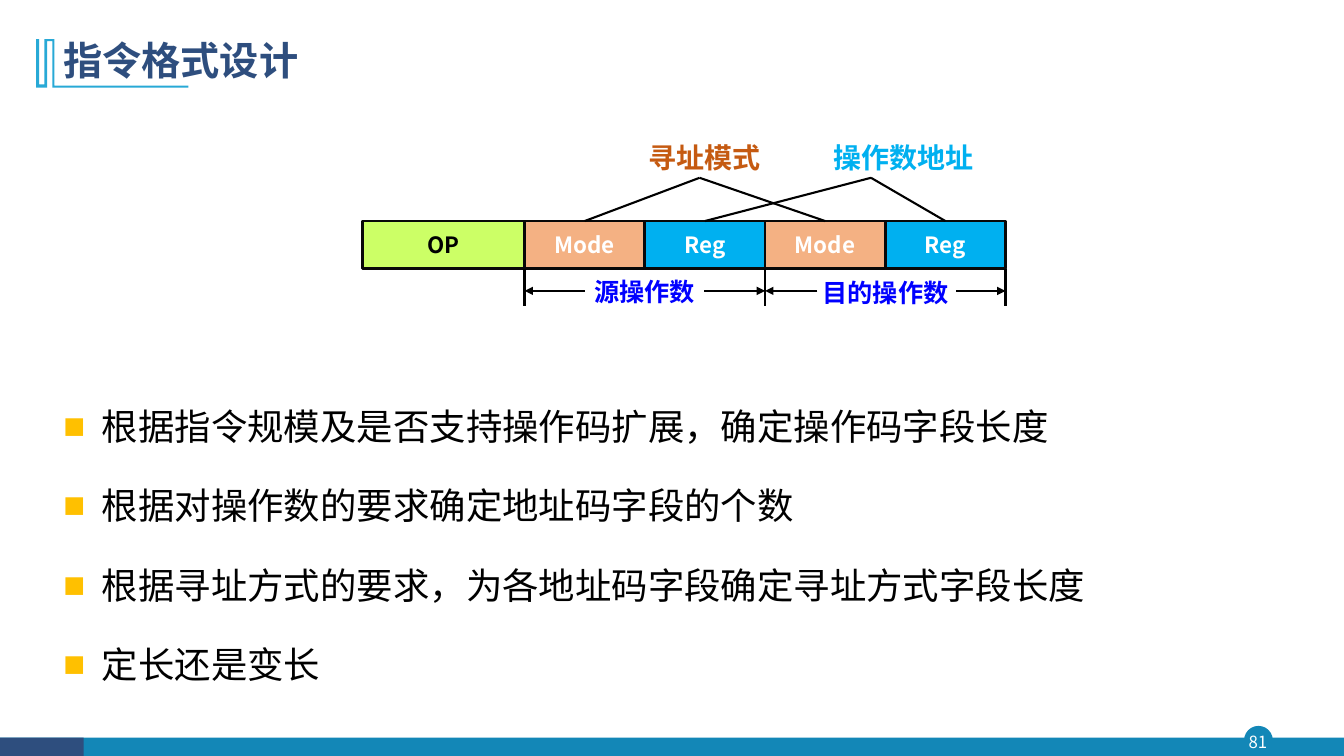
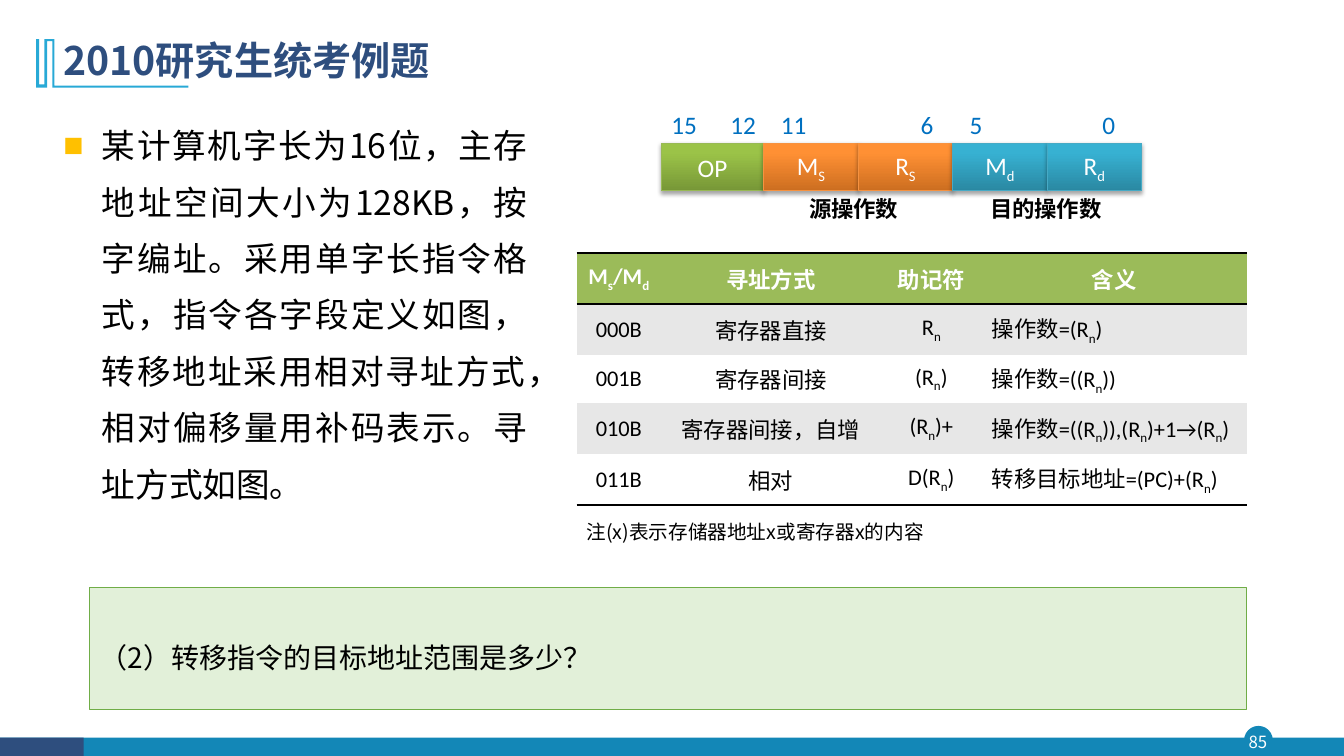
from lxml.etree import SubElement
from pptx import Presentation
from pptx.dml.color import RGBColor
from pptx.enum.shapes import MSO_CONNECTOR, MSO_SHAPE
from pptx.enum.text import MSO_ANCHOR, PP_ALIGN
from pptx.oxml.ns import qn
from pptx.util import Cm, Pt

CJK = "Noto Sans CJK SC"
NAVY, TEAL, SKY = "2E4E7E", "1387B7", "28A9D6"
BLACK, WHITE = "000000", "FFFFFF"
LEFT, CENTER, RIGHT = PP_ALIGN.LEFT, PP_ALIGN.CENTER, PP_ALIGN.RIGHT
rgb = RGBColor.from_string


def write(tf, text, size, color=BLACK, bold=False, name=CJK, **para):
    p = tf.paragraphs[0]
    for key, value in para.items():
        setattr(p, key, value)
    first, *rest = text.split("_")
    pieces = [(first, False)]
    for part in rest:
        pieces += [(part[0], True), (part[1:], False)]
    for piece, lowered in pieces:
        if not piece:
            continue
        r = p.add_run()
        r.text = piece
        for key, value in {"size": Pt(size), "bold": bold, "name": name}.items():
            setattr(r.font, key, value)
        r.font.color.rgb = rgb(color)
        rPr = r._r.get_or_add_rPr()
        SubElement(rPr, qn("a:ea")).set("typeface", CJK)
        if lowered:
            rPr.set("baseline", "-25000")


def box(s, at, text="", size=12, kind=None, fill=None, line=None, width=1, **fmt):
    at = [Cm(v) for v in at]
    if kind is None:
        sp = s.shapes.add_textbox(*at)
    else:
        sp = s.shapes.add_shape(kind, *at)
        sp.shadow.inherit = False
        if fill:
            sp.fill.solid()
            sp.fill.fore_color.rgb = rgb(fill)
        if line:
            sp.line.color.rgb = rgb(line)
            sp.line.width = Pt(width)
        else:
            sp.line.fill.background()
    sp.text_frame.word_wrap = True
    sp.text_frame.vertical_anchor = MSO_ANCHOR.MIDDLE
    if text:
        write(sp.text_frame, text, size, **fmt)
    return sp


prs = Presentation()
prs.slide_width, prs.slide_height = Cm(33.87), Cm(19.05)
RECT = MSO_SHAPE.RECTANGLE

ornament = [(137, 216), (475, 216), (475, 221), (132, 221), (132, 104),
            (119, 104), (119, 221), (91, 221), (91, 99), (99, 99),
            (99, 213), (112, 213), (112, 99)]
pages = [
    ("指令格式设计", "81", (1.35, 9.5, 29.21, 8.38), 26, 1.5,
     ["根据指令规模及是否支持操作码扩展，确定操作码字段长度",
      "根据对操作数的要求确定地址码字段的个数",
      "根据寻址方式的要求，为各地址码字段确定寻址方式字段长度",
      "定长还是变长"]),
    ("2010研究生统考例题", "85", (1.35, 2.62, 12.19, 10.8), 24, 1.4,
     ["某计算机字长为16位，主存地址空间大小为128KB，按字编址。"
      "采用单字长指令格式，指令各字段定义如图，转移地址采用相对寻址方式，"
      "相对偏移量用补码表示。寻址方式如图。"]),
]

for title, number, at, size, spacing, bullets in pages:
    s = prs.slides.add_slide(prs.slide_layouts[6])
    box(s, (31.37, 18.31, 0.69, 0.69), kind=MSO_SHAPE.OVAL, fill=TEAL, line=TEAL)
    box(s, (0, 18.59, 33.87, 0.46), kind=RECT, fill=TEAL)
    box(s, (0, 18.59, 2.11, 0.46), kind=RECT, fill=NAVY)
    box(s, (30.9, 18.31, 1.6, 0.79), number, 12, color=WHITE, alignment=CENTER)
    outline = s.shapes.build_freeform(137, 99, scale=Cm(0.01))
    outline.add_line_segments(ornament, close=True)
    sp = outline.convert_to_shape()
    sp.shadow.inherit = False
    sp.fill.solid()
    sp.fill.fore_color.rgb = rgb(SKY)
    sp.line.fill.background()
    box(s, (1.35, 0.71, 29.21, 1.73), title, 28, color=NAVY, bold=True,
        line_spacing=0.9)

    tf = box(s, at).text_frame
    tf.vertical_anchor = MSO_ANCHOR.TOP
    for i, text in enumerate(bullets):
        p = tf.add_paragraph() if i else tf.paragraphs[0]
        pPr = p._p.get_or_add_pPr()
        pPr.set("marL", str(Cm(0.97)))
        pPr.set("indent", str(-Cm(0.97)))
        SubElement(SubElement(pPr, qn("a:buClr")), qn("a:srgbClr")).set("val", "FFC000")
        SubElement(pPr, qn("a:buFont")).set("typeface", "Arial")
        SubElement(pPr, qn("a:buChar")).set("char", "■")
        p.alignment = PP_ALIGN.JUSTIFY
        p.line_spacing = spacing
        if i:
            p.space_before = Pt(10)
        r = p.add_run()
        r.text = text
        for key, value in {"size": Pt(size), "name": CJK}.items():
            setattr(r.font, key, value)
        r.font.color.rgb = rgb(BLACK)
        SubElement(r._r.get_or_add_rPr(), qn("a:ea")).set("typeface", CJK)

s = prs.slides[0]
x0, y0, cell_w, cell_h = 13.22, 5.57, 3.03, 1.2
box(s, (9.14, y0, x0 - 9.14, cell_h), "OP", 16, kind=RECT, fill="CCFF66",
    line="080808", width=2, bold=True, alignment=CENTER)
cells = []
for i in range(4):
    text, fill = [("Mode", "F4B183"), ("Reg", "00B0F0")][i % 2]
    cells.append(box(s, (x0 + i * cell_w, y0, cell_w, cell_h), text, 16, kind=RECT,
                     fill=fill, line="080808", width=2, color=WHITE, bold=True,
                     alignment=CENTER))

for text, at, size, color, align in [
    ("寻址模式", (15.82, 3.43, 3.61, 1.09), 20, "C55A11", RIGHT),
    ("操作数地址", (20.6, 3.43, 4.19, 1.09), 20, "00B0F0", RIGHT),
    ("源操作数", (14.15, 6.83, 3.61, 1.02), 18, "0000FF", RIGHT),
    ("目的操作数", (20.04, 6.86, 4.55, 1.02), 18, "0000FF", CENTER),
]:
    box(s, at, text, size, color=color, bold=True, alignment=align)

ticks = [x0 + 2 * i * cell_w for i in range(3)]
links = [(x, 4.48, x, y0, 1.5, cell) for x, pair in
         [(17.63, cells[::2]), (21.95, cells[1::2])] for cell in pair]
links += [(x, 6.77, x, 7.72, 2, None) for x in ticks]
links += [(a, 7.33, b, 7.33, 1.5, None) for a, b in
          [(14.73, ticks[0]), (17.75, ticks[1]), (20.6, ticks[1]), (24.1, ticks[2])]]
for x1, y1, x2, y2, width, cell in links:
    c = s.shapes.add_connector(MSO_CONNECTOR.STRAIGHT, Cm(x1), Cm(y1), Cm(x2), Cm(y2))
    c.line.color.rgb = rgb(BLACK)
    c.line.width = Pt(width)
    if cell is not None:
        c.end_connect(cell, 0)
    elif y1 == y2:
        SubElement(c.line._get_or_add_ln(), qn("a:tailEnd")).set("type", "triangle")
    SubElement(c._element.spPr, qn("a:effectLst"))

s = prs.slides[1]
green = ("779737", "9BC348", "98B955")
orange = ("CC6E20", "FF9034", "F69240")
blue = ("2A88A2", "37B1D2", "46AAC5")
x = 16.66
for text, w, (dark, light, edge) in [
    ("OP", 2.59, green), ("M_S", 2.38, orange), ("R_S", 2.38, orange),
    ("M_d", 2.38, blue), ("R_d", 2.38, blue),
]:
    sp = box(s, (x, 3.61, w, 1.2), text, 18, kind=RECT, line=edge, width=0.75,
             color=WHITE, name="Calibri", alignment=CENTER)
    sp.fill.gradient()
    sp.fill.gradient_angle = 90
    for stop, color, position in zip(sp.fill.gradient_stops, (dark, light), (0, 0.8)):
        stop.color.rgb = rgb(color)
        stop.position = position
    shadow = SubElement(sp._element.spPr.find(qn("a:effectLst")), qn("a:outerShdw"))
    for key, value in {"blurRad": Pt(3.1), "dist": Pt(1.8), "dir": 5400000,
                       "rotWithShape": 0}.items():
        shadow.set(key, str(value))
    tint = SubElement(shadow, qn("a:srgbClr"))
    tint.set("val", BLACK)
    SubElement(tint, qn("a:alpha")).set("val", "35000")
    x += w

for text, middle in [("15", 17.24), ("12", 18.73), ("11", 20), ("6", 23.36),
                     ("5", 24.6), ("0", 27.94)]:
    box(s, (middle - 0.75, 2.62, 1.5, 1.02), text, 18, color="0070C0",
        name="Calibri", alignment=CENTER)
for text, x, w in [("源操作数", 20.14, 3.18), ("目的操作数", 24.7, 3.76)]:
    box(s, (x, 4.78, w, 0.94), text, 16, bold=True)

rows = [
    ("M_s/M_d", "寻址方式", "助记符", "含义"),
    ("000B", "寄存器直接", "R_n", "操作数=(R_n)"),
    ("001B", "寄存器间接", "(R_n)", "操作数=((R_n))"),
    ("010B", "寄存器间接，自增", "(R_n)+", "操作数=((R_n)),(R_n)+1→(R_n)"),
    ("011B", "相对", "D(R_n)", "转移目标地址=(PC)+(R_n)"),
]
tbl = s.shapes.add_table(5, 4, Cm(14.53), Cm(6.38), Cm(16.89), Cm(6.34)).table
tbl._tbl.tblPr.find(qn("a:tableStyleId")).text = "{2D5ABB26-0587-4C30-8999-92F81FD0307C}"
for col, w in zip(tbl.columns, (2.13, 5.54, 2.54, 6.68)):
    col.width = Cm(w)
for row, h in zip(tbl.rows, (1.28, 1.28, 1.22, 1.28, 1.28)):
    row.height = Cm(h)
edges = {0: ("a:lnT", "a:lnB"), 4: ("a:lnB",)}
for i, texts in enumerate(rows):
    for j, text in enumerate(texts):
        cell = tbl.cell(i, j)
        cell.vertical_anchor = MSO_ANCHOR.MIDDLE
        for edge in edges.get(i, ()):
            ln = SubElement(cell._tc.get_or_add_tcPr(), qn(edge))
            ln.set("w", str(Pt(2)))
            SubElement(SubElement(ln, qn("a:solidFill")), qn("a:srgbClr")).set("val", BLACK)
        cell.fill.solid()
        cell.fill.fore_color.rgb = rgb("9BBB59" if i == 0 else "E7E7E7" if i % 2 else WHITE)
        write(cell.text_frame, text, 16, color=BLACK if i else WHITE, bold=i == 0,
              name="Calibri", alignment=LEFT if i and j == 3 else CENTER)

box(s, (14.53, 12.98, 12.7, 0.86), "注(x)表示存储器地址x或寄存器x的内容", 14)
box(s, (2.26, 14.81, 29.16, 3.07), "（2）转移指令的目标地址范围是多少？", 20, kind=RECT,
    fill="E2F0D9", line="70AD47", width=0.5, alignment=LEFT, line_spacing=1.5)

prs.save("out.pptx")
